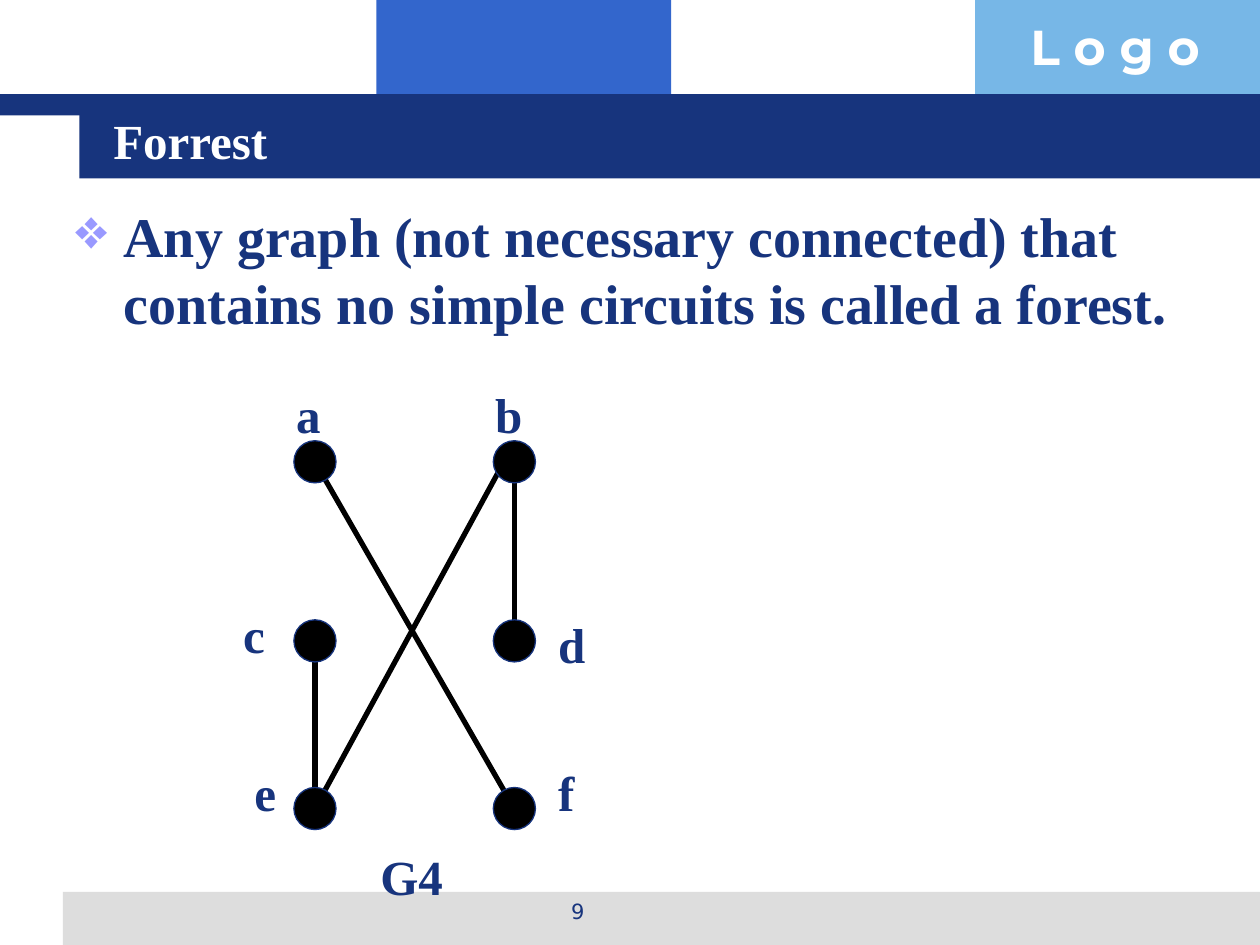
"""Build the slide that defines a forest and shows the example graph G4."""
from lxml.etree import SubElement
from pptx import Presentation
from pptx.dml.color import RGBColor
from pptx.enum.shapes import MSO_CONNECTOR as Connector, MSO_SHAPE as Preset
from pptx.enum.text import MSO_ANCHOR as Anchor, MSO_AUTO_SIZE as AutoSize, PP_ALIGN as Align
from pptx.oxml.ns import qn
from pptx.util import Cm, Pt

NAVY = RGBColor(0x17, 0x34, 0x7D)
BLUE = RGBColor(0x33, 0x66, 0xCC)
SKY = RGBColor(0x77, 0xB7, 0xE7)
GREY = RGBColor(0xDD, 0xDD, 0xDD)
LILAC = RGBColor(0x99, 0x99, 0xFF)
BLACK = RGBColor(0, 0, 0)
WHITE = RGBColor(0xFF, 0xFF, 0xFF)

HEADING = "Forrest"
DEFINITION = ("Any graph (not necessary connected) that contains no simple circuits "
              "is called a forest.")

BANDS = [
    ((7.59, 0, 5.94, 2.34), BLUE),
    ((19.66, 0, 5.74, 2.34), SKY),
    ((1.27, 17.98, 24.13, 1.07), GREY),
    ((0, 1.9, 25.4, 0.43), NAVY),
    ((1.6, 1.9, 23.8, 1.7), NAVY),
]

LEFT, RIGHT = 6.35, 10.37
TOP, MIDDLE, BOTTOM = 9.31, 12.92, 16.3
DIAMETER = 0.85
VERTICES = {
    "a": (LEFT, TOP), "b": (RIGHT, TOP),
    "c": (LEFT, MIDDLE), "d": (RIGHT, MIDDLE),
    "e": (LEFT, BOTTOM), "f": (RIGHT, BOTTOM),
}
EDGES = [
    ("c", "e", (0, 0.21), (0, -0.21)),
    ("b", "e", (-0.21, 0), (0, 0)),
    ("f", "a", (0, 0), (0, 0)),
    ("b", "d", (0, 0.21), (0, -0.42)),
]
LABELS = [
    ("a", 5.72, 7.62, 1.07), ("b", 9.73, 7.62, 1.07),
    ("c", 4.65, 12.07, 1.07), ("d", 11, 12.27, 1.07),
    ("e", 4.88, 15.24, 1.07), ("f", 11, 15.24, 1.07),
    ("G4", 7.42, 16.94, 1.9),
]

SERIF = {"name": "Times New Roman", "bold": True}
LABEL_FONT = {**SERIF, "size": Pt(28)}
DEFINITION_FONT = {**SERIF, "size": Pt(32)}
LOGO_FONT = {"name": "Montserrat", "bold": True, "size": Pt(28)}
NUMBER_FONT = {"name": "DejaVu Sans", "size": Pt(12)}


def set_all(target, values):
    for key, value in values.items():
        setattr(target, key, value)


def write(holder, text, font, color, align=Align.LEFT, anchor=Anchor.TOP):
    frame = holder.text_frame
    frame.text = text
    set_all(frame, {"word_wrap": True, "auto_size": AutoSize.NONE, "vertical_anchor": anchor})
    paragraph = frame.paragraphs[0]
    set_all(paragraph, {"alignment": align, "space_before": Pt(0)})
    set_all(paragraph.runs[0].font, font)
    paragraph.runs[0].font.color.rgb = color
    return paragraph


def add_text(slide, box, *style):
    return write(slide.shapes.add_textbox(*map(Cm, box)), *style)


def add_filled(slide, preset, box, color):
    shape = slide.shapes.add_shape(preset, *map(Cm, box))
    shape.shadow.inherit = False
    shape.fill.solid()
    shape.fill.fore_color.rgb = color
    shape.line.fill.background()
    return shape


def add_bullet(paragraph, symbol, color):
    properties = paragraph._p.get_or_add_pPr()
    properties.set("marL", str(Cm(0.97)))
    properties.set("indent", str(-Cm(0.97)))
    bullet_color = SubElement(properties, qn("a:buClr"))
    SubElement(bullet_color, qn("a:srgbClr"), val=str(color))
    SubElement(properties, qn("a:buChar"), char=symbol)


def add_edge(slide, start, end, start_shift, end_shift):
    ends = [Cm(base + shift)
            for vertex, shifts in ((start, start_shift), (end, end_shift))
            for base, shift in zip(VERTICES[vertex], shifts)]
    edge = slide.shapes.add_connector(Connector.STRAIGHT, *ends)
    edge.line.color.rgb = BLACK
    edge.line.width = Pt(3)
    SubElement(edge.element.spPr, qn("a:effectLst"))


def add_vertex(slide, x, y):
    radius = DIAMETER / 2
    vertex = add_filled(slide, Preset.OVAL, (x - radius, y - radius, DIAMETER, DIAMETER), BLACK)
    vertex.line.color.rgb = NAVY
    vertex.line.width = Pt(0.75)


def main():
    deck = Presentation()
    set_all(deck, {"slide_width": Cm(25.4), "slide_height": Cm(19.05)})
    slide = deck.slides.add_slide(deck.slide_layouts[5])

    for box, color in BANDS:
        add_filled(slide, Preset.RECTANGLE, box, color)
    add_text(slide, (20.52, 0.2, 4.9, 1.45), "L o g o", LOGO_FONT, WHITE)
    add_text(slide, (8.69, 17.98, 5.92, 0.89), "9", NUMBER_FONT, NAVY, Align.CENTER)

    title = slide.shapes.title
    slide.shapes.element.append(title.element)
    set_all(title, {"left": Cm(2.03), "top": Cm(2.03), "width": Cm(21.67), "height": Cm(1.57)})
    write(title, HEADING, LABEL_FONT, WHITE, Align.LEFT, Anchor.MIDDLE)

    definition = add_text(slide, (1.27, 3.94, 23.7, 13.56), DEFINITION, DEFINITION_FONT, NAVY)
    add_bullet(definition, "❖", LILAC)

    for edge in EDGES:
        add_edge(slide, *edge)
    for center in VERTICES.values():
        add_vertex(slide, *center)
    for label, x, y, width in LABELS:
        add_text(slide, (x, y, width, 1.45), label, LABEL_FONT, NAVY)

    deck.save("out.pptx")


if __name__ == "__main__":
    main()
